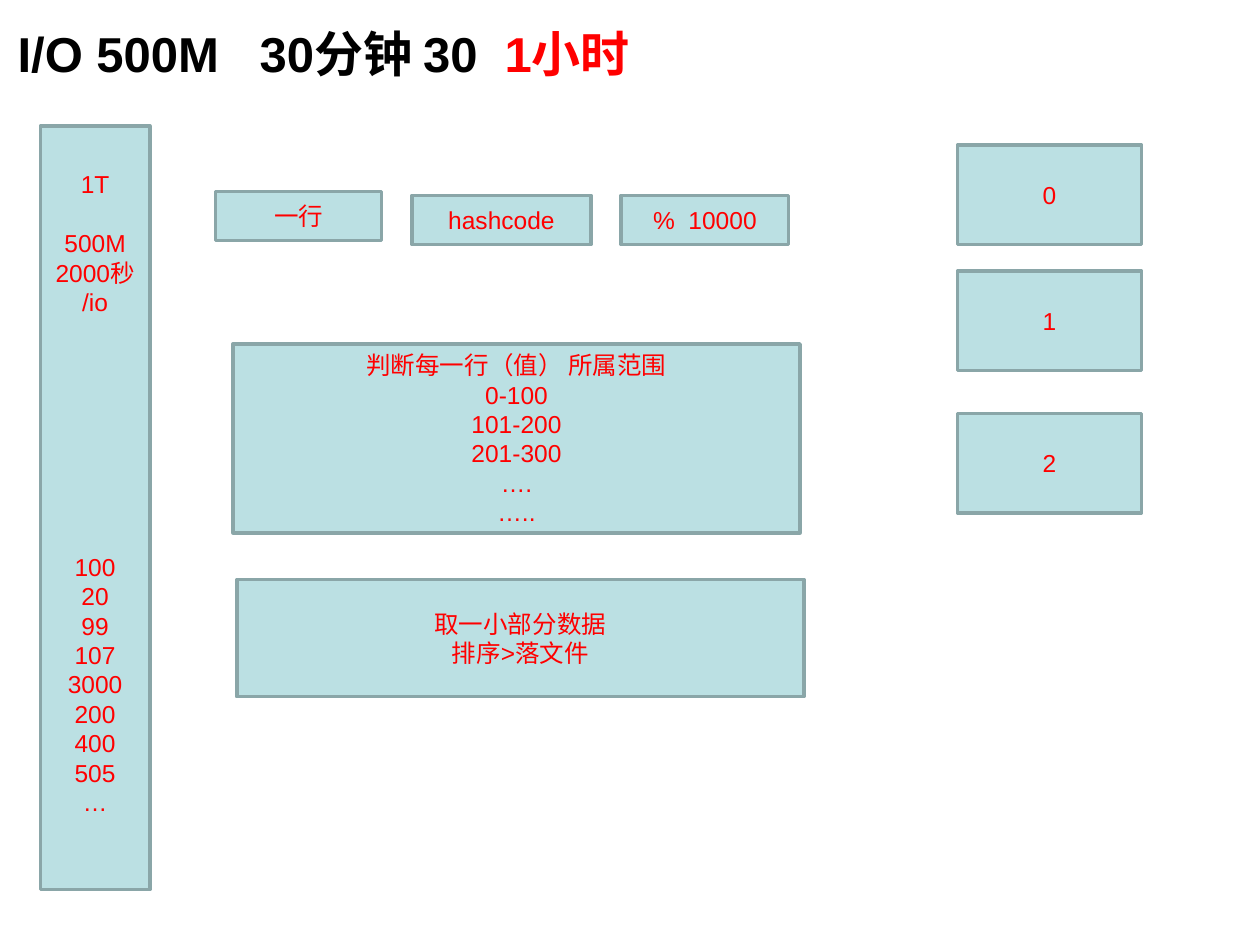
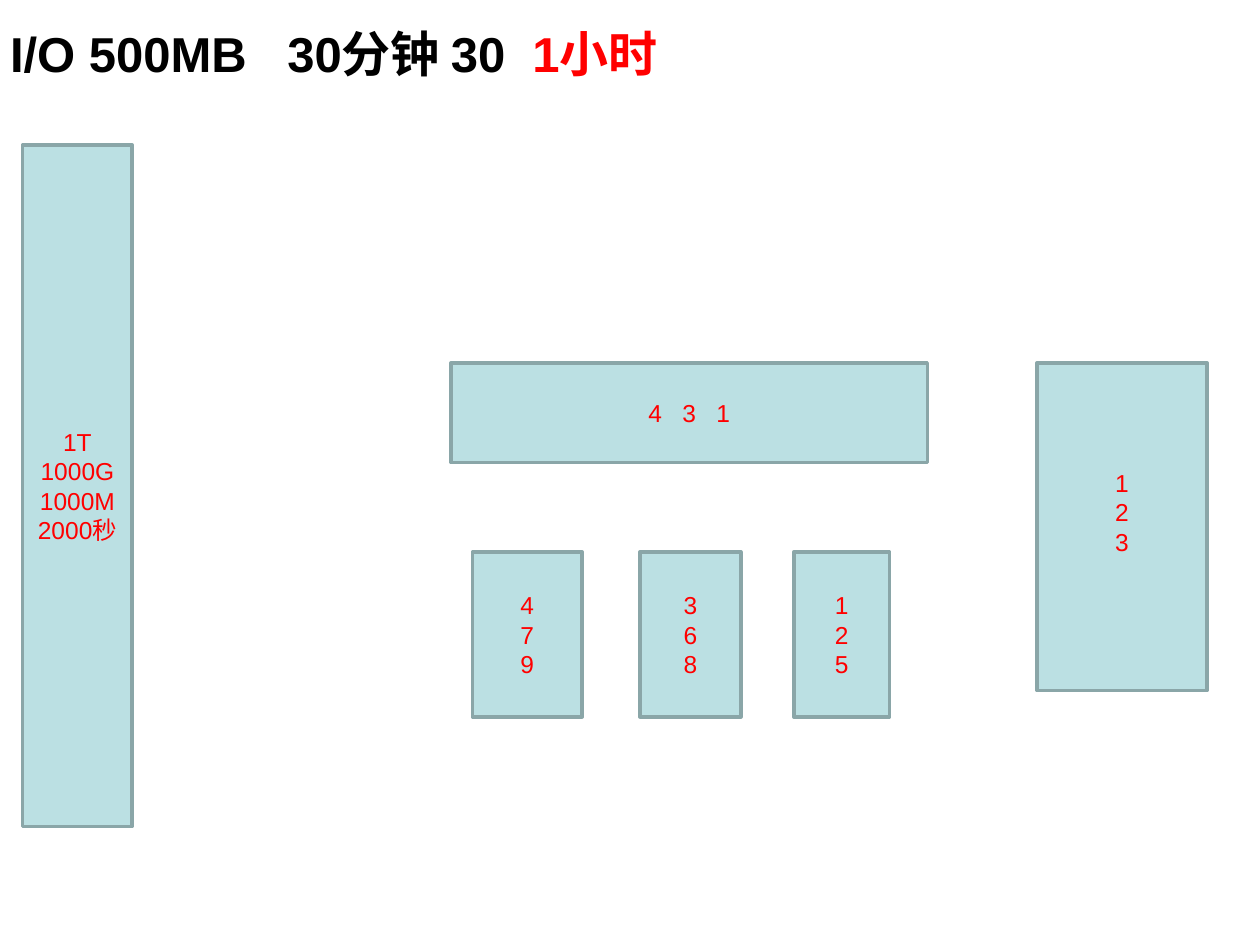
from pptx import Presentation
from pptx.dml.color import RGBColor
from pptx.enum.shapes import MSO_SHAPE
from pptx.enum.text import MSO_ANCHOR, MSO_AUTO_SIZE, PP_ALIGN
from pptx.util import Inches, Pt

RECTANGLE = MSO_SHAPE.RECTANGLE
MIDDLE = MSO_ANCHOR.MIDDLE
NO_FIT = MSO_AUTO_SIZE.NONE
LEFT, CENTER = PP_ALIGN.LEFT, PP_ALIGN.CENTER

COLORS = {"paper": "FFFFFF", "title": "000000", "accent": "FF0000",
          "box": "BBE0E3", "border": "8AA6A8"}
TITLE_FONT = {"name": "Arial", "size": Pt(28), "bold": True}
BOX_FONT = {"name": "Arial", "size": Pt(14), "bold": False}
FRAME_FORMAT = {"word_wrap": True, "auto_size": NO_FIT, "vertical_anchor": MIDDLE}
LINE_PITCH = 16.8
TITLE_TOP, TITLE_WIDTH, TITLE_HEIGHT = -0.05, 7.73, 0.94
COLUMN_WIDTH, BUCKET_HEIGHT = 0.87, 0.79
BUCKET_LEFT, BUCKET_WIDTH = 7.6, 1.46
STEP_HEIGHT = 0.39
SORTED_TOP, SORTED_HEIGHT = 4.38, 1.31
MERGE_TOP = 2.88

DATA_COLUMN = ["1T", "500M", "2000秒", "/io",
               "100", "20", "99", "107", "3000", "200", "400", "505", "…"]
RANGES = ["判断每一行（值） 所属范围", "0-100", "101-200", "201-300", "….", "….."]
HASH_STEPS = [(1.71, 1.52, 1.32, "一行"), (3.27, 1.55, 1.42, "hashcode"),
              (4.93, 1.55, 1.33, "%  10000")]
BUCKET_TOPS = [1.15, 2.15, 3.28]
SORTED_CHUNKS = [(3.75, 0.87, "479"), (5.08, 0.8, "368"), (6.3, 0.76, "125")]

SLIDES = [
    {
        "title": ("I/O 500M   30分钟 30  ", "1小时"),
        "title_left": 0.04,
        "boxes": [
            {"at": (0.32, 1, COLUMN_WIDTH, 6.06), "lines": DATA_COLUMN,
             "gaps": {"500M": 1, "100": 8}, "tail": 1},
            *({"at": (left, top, width, STEP_HEIGHT), "lines": [step]}
              for left, top, width, step in HASH_STEPS),
            *({"at": (BUCKET_LEFT, top, BUCKET_WIDTH, BUCKET_HEIGHT),
               "lines": [str(bucket)]}
              for bucket, top in enumerate(BUCKET_TOPS)),
            {"at": (1.85, 2.73, 4.5, 1.5), "lines": RANGES},
            {"at": (1.88, 4.6, 4.5, 0.93),
             "lines": ["取一小部分数据", "排序>落文件"]},
        ],
    },
    {
        "title": ("I/O 500MB   30分钟 30  ", "1小时"),
        "title_left": -0.02,
        "boxes": [
            {"at": (0.18, 1.15, COLUMN_WIDTH, 5.41),
             "lines": ["1T", "1000G", "1000M", "2000秒"]},
            *({"at": (left, SORTED_TOP, width, SORTED_HEIGHT), "lines": values}
              for left, width, values in SORTED_CHUNKS),
            {"at": (3.58, MERGE_TOP, 3.78, BUCKET_HEIGHT), "lines": ["4   3   1"]},
            {"at": (8.23, MERGE_TOP, 1.35, 2.6), "lines": "123", "tail": 1},
        ],
    },
]


def color(name):
    return RGBColor.from_string(COLORS[name])


def apply(target, values):
    for attribute, value in values.items():
        setattr(target, attribute, value)


def paint(shape, name):
    shape.fill.solid()
    shape.fill.fore_color.rgb = color(name)


def add_words(paragraph, words, font, color_name):
    run = paragraph.add_run()
    run.text = words
    apply(run.font, font)
    run.font.color.rgb = color(color_name)


def set_title(slide, parts, left):
    title = slide.shapes.title
    apply(title, {"left": Inches(left), "top": Inches(TITLE_TOP),
                  "width": Inches(TITLE_WIDTH), "height": Inches(TITLE_HEIGHT)})
    paint(title, "paper")
    apply(title.text_frame, FRAME_FORMAT)
    paragraph = title.text_frame.paragraphs[0]
    paragraph.alignment = LEFT
    for words, color_name in zip(parts, ("title", "accent")):
        add_words(paragraph, words, TITLE_FONT, color_name)


def add_box(slide, at, lines, gaps={}, tail=0):
    box = slide.shapes.add_shape(RECTANGLE, *map(Inches, at))
    box.shadow.inherit = False
    paint(box, "box")
    box.line.color.rgb = color("border")
    box.line.width = Pt(2)
    frame = box.text_frame
    apply(frame, FRAME_FORMAT)
    frame.margin_bottom += Pt(tail * LINE_PITCH)
    for index, words in enumerate(lines):
        paragraph = frame.add_paragraph() if index else frame.paragraphs[0]
        apply(paragraph, {"alignment": CENTER, "line_spacing": Pt(LINE_PITCH),
                          "space_before": Pt(gaps.get(words, 0) * LINE_PITCH)})
        add_words(paragraph, words, BOX_FONT, "accent")


def main():
    deck = Presentation()
    apply(deck, {"slide_width": Inches(10), "slide_height": Inches(7.5)})
    title_only = deck.slide_layouts[5]
    for content in SLIDES:
        slide = deck.slides.add_slide(title_only)
        set_title(slide, content["title"], content["title_left"])
        for box in content["boxes"]:
            add_box(slide, **box)
    deck.save("out.pptx")


if __name__ == "__main__":
    main()
